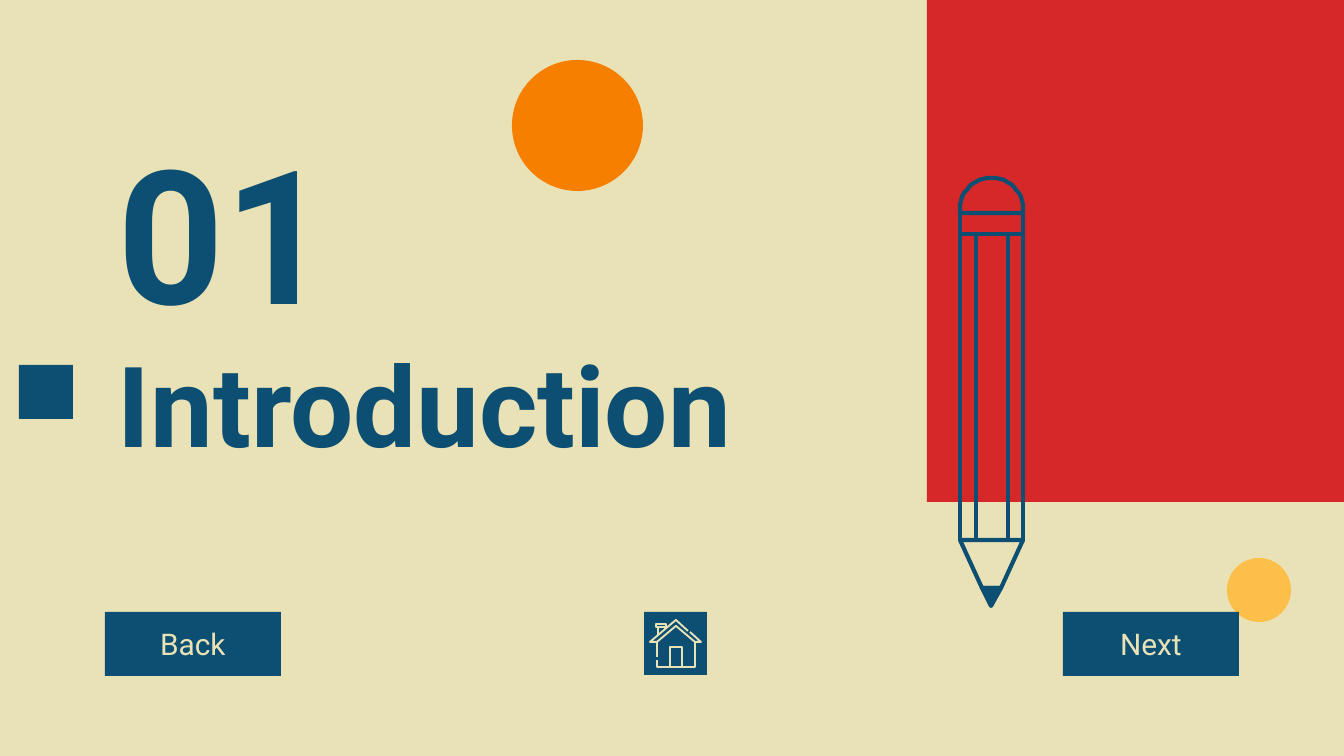
from math import cos, pi, sin
from pptx import Presentation
from pptx.dml.color import RGBColor
from pptx.enum.shapes import MSO_SHAPE
from pptx.enum.text import MSO_ANCHOR, MSO_AUTO_SIZE, PP_ALIGN
from pptx.util import Emu, Pt

PX = 914400 / 134.4
NAVY, CREAM, RED = "0C4F72", "EAE2B7", "D62828"
ORANGE, YELLOW = "F77F00", "FCBF49"
RECTANGLE, OVAL = MSO_SHAPE.RECTANGLE, MSO_SHAPE.OVAL

# Content: boxes are left, top, width, height in px
TITLE = ("Introduction", (105, 284, 691, 238))
NUMBER = ("01", (105, 105, 691, 208))
PANEL = (RECTANGLE, (927, 0, 417, 502), RED)
DECORATIONS = [
    (RECTANGLE, (19, 365, 54, 54), NAVY),
    (OVAL, (512, 60, 131, 131), ORANGE),
    (OVAL, (1227, 558, 64, 64), YELLOW),
    (RECTANGLE, (644, 612, 63, 63), NAVY),
]
BUTTONS = [("Back", 105), ("Next", 1063)]
BUTTON_TOP, BUTTON_WIDTH, BUTTON_HEIGHT = 612, 176, 64

# Pencil: vertical edges of the shaft and horizontal breaks
PENCIL_EDGES = [960, 976, 1008, 1023]
DOME_Y, BAND_TOP, SHAFT_TOP, SHAFT_BOTTOM = 209, 213, 234, 540
LEAD = [(982, 588), (991, 606), (1001, 588)]

# House icon: points of each stroke, and whether it is closed
HOUSE_STROKES = [
    ([(688, 631), (676, 620), (650, 642), (657, 642), (676, 626),
      (695, 642), (701, 642), (690, 632)], False),
    ([(657, 642), (657, 657)], False),
    ([(657, 660), (657, 667), (695, 667), (695, 642)], False),
    ([(670, 667), (670, 647), (682, 647), (682, 667)], False),
    ([(656, 624), (666, 624), (666, 627), (656, 627)], True),
    ([(658, 627), (658, 635)], False),
    ([(665, 627), (665, 629)], False),
]


def px(value):
    return Emu(round(value * PX))


def color(value):
    return RGBColor.from_string(value)


def apply(target, values):
    for name, value in values.items():
        setattr(target, name, value)


def place(shape, box):
    apply(shape, dict(zip(("left", "top", "width", "height"), map(px, box))))


def write(shape, text, size, ink, bold=False, align=PP_ALIGN.LEFT,
          anchor=MSO_ANCHOR.MIDDLE):
    frame = shape.text_frame
    frame.text = text
    margins = ("margin_left", "margin_top", "margin_right", "margin_bottom")
    apply(frame, dict.fromkeys(margins, px(13)))
    apply(frame, {"word_wrap": True, "auto_size": MSO_AUTO_SIZE.NONE,
                  "vertical_anchor": anchor})
    paragraph = frame.paragraphs[0]
    paragraph.alignment = align
    font = paragraph.runs[0].font
    apply(font, {"name": "Roboto", "size": Pt(size), "bold": bold})
    font.color.rgb = color(ink)


def add_block(shapes, kind, box, fill):
    shape = shapes.add_shape(kind, *map(px, box))
    shape.shadow.inherit = False
    shape.fill.solid()
    shape.fill.fore_color.rgb = color(fill)
    shape.line.fill.background()
    return shape


def add_outline(shapes, points, ink, weight, closed=True, filled=False):
    builder = shapes.build_freeform(*points[0], scale=PX)
    builder.add_line_segments(points[1:], close=closed)
    shape = builder.convert_to_shape()
    shape.shadow.inherit = False
    if filled:
        shape.fill.solid()
        shape.fill.fore_color.rgb = color(ink)
    else:
        shape.fill.background()
    shape.line.color.rgb = color(ink)
    shape.line.width = Pt(weight)


def rectangle(left, top, right, bottom):
    return [(left, top), (right, top), (right, bottom), (left, bottom)]


def add_pencil(shapes):
    left, right = PENCIL_EDGES[0], PENCIL_EDGES[-1]
    radius, steps = (right - left) / 2, 24
    angles = [pi * step / steps for step in range(steps + 1)]
    dome = [(left + radius + radius * cos(angle), DOME_Y - radius * sin(angle))
            for angle in angles]
    outlines = [rectangle(start, SHAFT_TOP, end, SHAFT_BOTTOM)
                for start, end in zip(PENCIL_EDGES, PENCIL_EDGES[1:])]
    outlines += [
        rectangle(left, BAND_TOP, right, SHAFT_TOP),
        dome + [(left, BAND_TOP), (right, BAND_TOP)],
        [(left, SHAFT_BOTTOM), LEAD[0], LEAD[-1], (right, SHAFT_BOTTOM)],
    ]
    for points in outlines:
        add_outline(shapes, points, NAVY, 2.25)
    add_outline(shapes, LEAD, NAVY, 2.25, filled=True)


def main():
    presentation = Presentation()
    presentation.slide_width, presentation.slide_height = px(1344), px(756)
    slide = presentation.slides.add_slide(presentation.slide_layouts[5])
    slide.background.fill.solid()
    slide.background.fill.fore_color.rgb = color(CREAM)
    shapes = slide.shapes

    # Title and section number
    text, box = TITLE
    place(shapes.title, box)
    write(shapes.title, text, 60, NAVY, bold=True)
    text, box = NUMBER
    number = shapes.add_textbox(*map(px, box))
    write(number, text, 100, NAVY, bold=True, anchor=MSO_ANCHOR.TOP)

    # Red panel, pencil and decorations
    add_block(shapes, *PANEL)
    add_pencil(shapes)
    for decoration in DECORATIONS:
        add_block(shapes, *decoration)

    # Navigation
    for points, closed in HOUSE_STROKES:
        add_outline(shapes, points, CREAM, 1, closed)
    for label, left in BUTTONS:
        box = (left, BUTTON_TOP, BUTTON_WIDTH, BUTTON_HEIGHT)
        button = add_block(shapes, RECTANGLE, box, NAVY)
        write(button, label, 16, CREAM, align=PP_ALIGN.CENTER)

    presentation.save("out.pptx")


if __name__ == "__main__":
    main()
